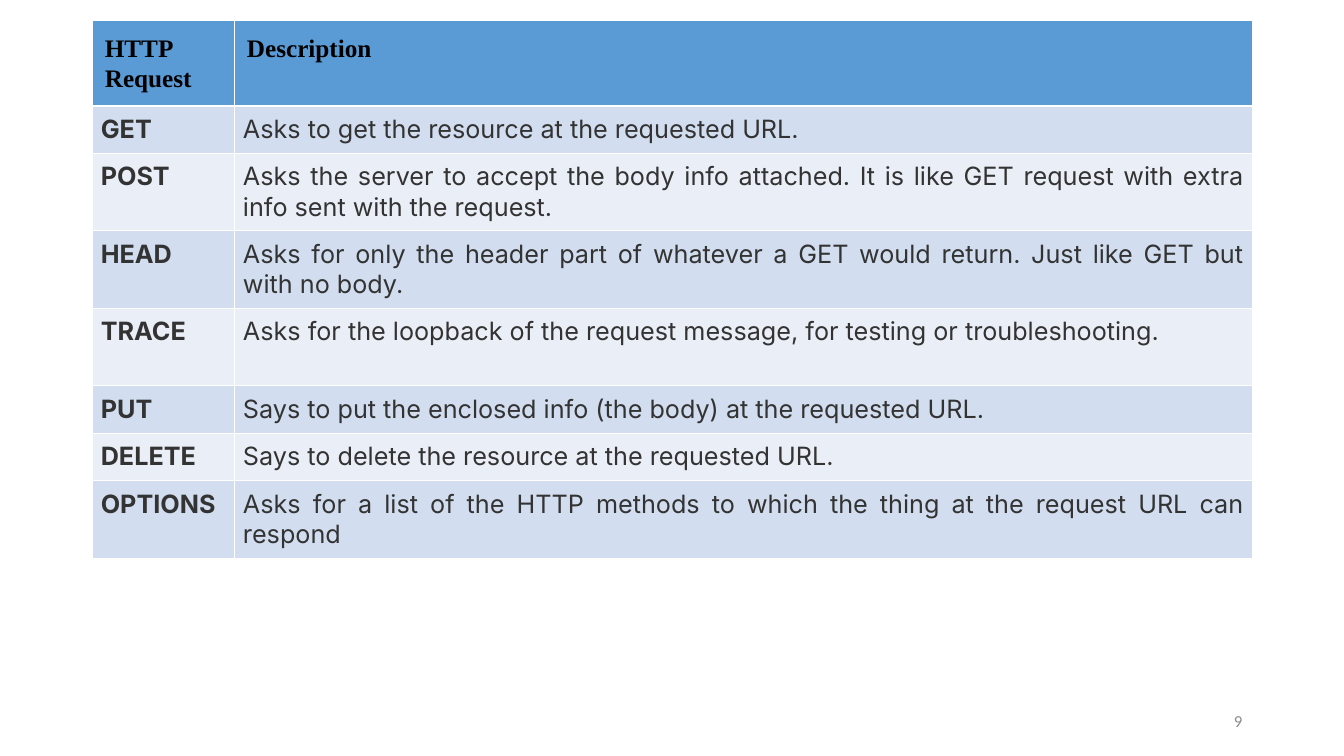
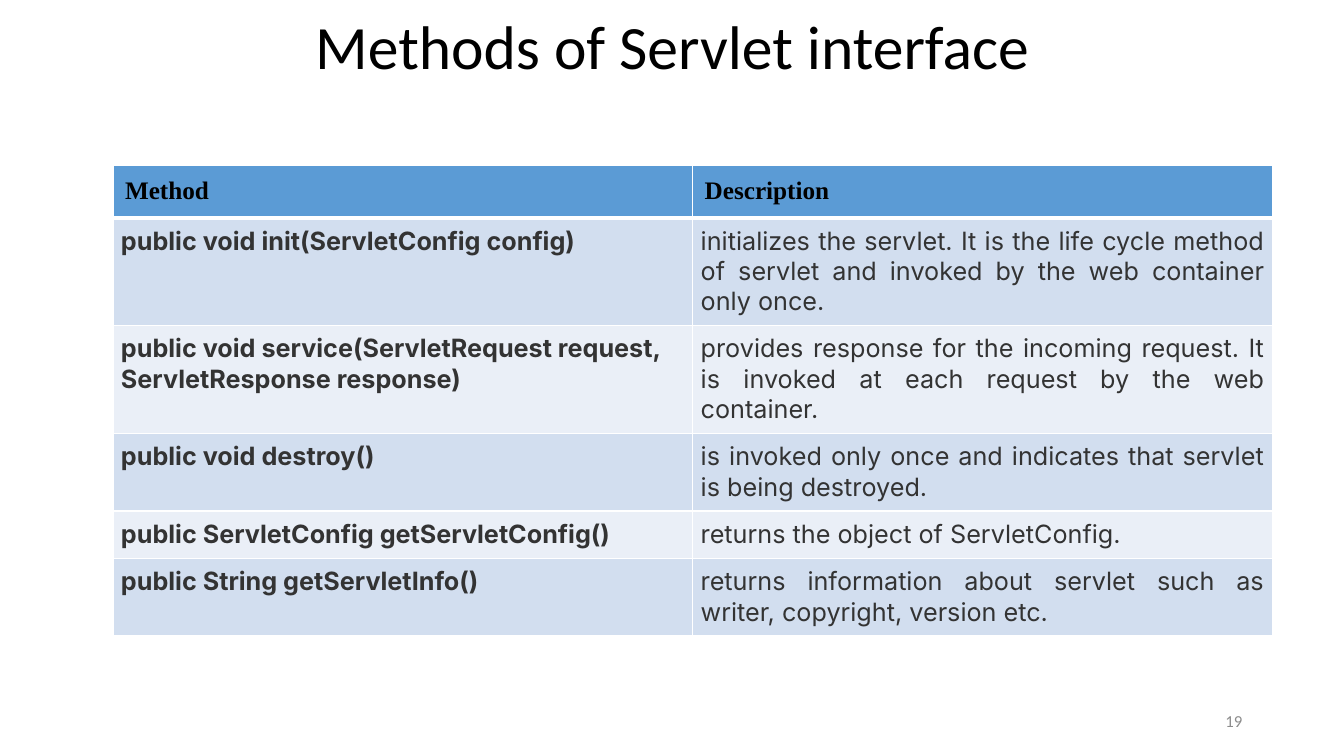
import pptx
import pptx.dml.color
import pptx.enum.text
import pptx.oxml.ns
import pptx.util
from lxml import etree

RGBColor = pptx.dml.color.RGBColor
Align = pptx.enum.text.PP_ALIGN
Anchor = pptx.enum.text.MSO_ANCHOR
Inches = pptx.util.Inches
Pt = pptx.util.Pt

BLACK = RGBColor(0x00, 0x00, 0x00)
WHITE = RGBColor(0xFF, 0xFF, 0xFF)
TEXT = RGBColor(0x33, 0x33, 0x33)
GREY = RGBColor(0x8C, 0x8C, 0x8C)
HEADER = RGBColor(0x5B, 0x9B, 0xD5)
BANDS = (RGBColor(0xD2, 0xDE, 0xEF), RGBColor(0xEA, 0xEF, 0xF7))

WIDTH, HEIGHT = 13.33, 7.5
MARGIN, CONTENT = 0.92, 11.5
BODY_INSET, HEADER_INSET = 0.08, 0.12
LINE, ROW_PADDING = 0.3, 0.17  # height of a text line, space around it in a row


class Deck:
    """Holds the shared style and the current slide."""

    def __init__(self):
        self.deck = pptx.Presentation()
        self.deck.slide_width = Inches(WIDTH)
        self.deck.slide_height = Inches(HEIGHT)
        self.page = None

    def add_page(self, number, title=None):
        layout = self.deck.slide_layouts.get_by_name("Title Only" if title else "Blank")
        self.page = self.deck.slides.add_slide(layout)
        if title:
            self.title(title)
        self.page_number(number)

    def add_text(self, frame, text, font, size, color, align, bold=False, spacing=None):
        para = frame.paragraphs[0]
        para.alignment = align
        if spacing:
            para.line_spacing = spacing
        span = para.add_run()
        span.text = text
        span.font.name = font
        span.font.size = Pt(size)
        span.font.bold = bold
        span.font.color.rgb = color

    def frame(self, box):
        frame = box.text_frame
        frame.word_wrap = True
        frame.auto_size = pptx.enum.text.MSO_AUTO_SIZE.NONE
        frame.vertical_anchor = Anchor.MIDDLE
        return frame

    def title(self, text):
        box = self.page.shapes.title
        box.left, box.top = Inches(MARGIN), Inches(0.07)
        box.width, box.height = Inches(CONTENT), Inches(0.85)
        self.add_text(self.frame(box), text, "Calibri", 44, BLACK, Align.CENTER, spacing=0.9)

    def page_number(self, number):
        width = 3
        box = self.page.shapes.add_textbox(
            Inches(MARGIN + CONTENT - width), Inches(6.95), Inches(width), Inches(0.4))
        self.add_text(self.frame(box), str(number), "Calibri", 12, GREY, Align.RIGHT)

    def borders(self, cell, **widths):
        properties = cell._tc.get_or_add_tcPr()
        for side, points in widths.items():
            line = etree.SubElement(
                properties, pptx.oxml.ns.qn("a:ln" + side), w=str(int(Pt(points))))
            fill = etree.SubElement(line, pptx.oxml.ns.qn("a:solidFill"))
            etree.SubElement(fill, pptx.oxml.ns.qn("a:srgbClr"), val=str(WHITE))

    def cell(self, cell, text, row, column, thin, thick, spacing):
        is_header = row == 0
        self.borders(cell, L=thin, R=thin, T=thick if row == 1 else thin,
                     B=thick if is_header else thin)
        cell.fill.solid()
        cell.fill.fore_color.rgb = HEADER if is_header else BANDS[(row - 1) % 2]
        inset = Inches(HEADER_INSET if is_header else BODY_INSET)
        cell.margin_left = cell.margin_right = inset
        cell.margin_top = cell.margin_bottom = inset
        cell.vertical_anchor = Anchor.TOP
        justified = column == 1 and not is_header
        self.add_text(cell.text_frame, text,
                      "Times New Roman" if is_header else "Inter", 18,
                      BLACK if is_header else TEXT,
                      Align.JUSTIFY if justified else Align.LEFT,
                      bold=not justified, spacing=spacing)

    def table(self, left, top, first_column, header_height, header, rows,
              thin, thick, spacing=None):
        """Each row holds a name, a description and its height in text lines."""
        heights = [header_height] + [ROW_PADDING + LINE * lines for _, _, lines in rows]
        table = self.page.shapes.add_table(
            len(heights), 2, Inches(left), Inches(top),
            Inches(CONTENT), Inches(sum(heights))).table
        for column, width in zip(table.columns, (first_column, CONTENT - first_column)):
            column.width = Inches(width)
        texts = [header] + [row[:2] for row in rows]
        for row, (height, pair) in enumerate(zip(heights, texts)):
            table.rows[row].height = Inches(height)
            for column, text in enumerate(pair):
                self.cell(table.cell(row, column), text, row, column, thin, thick, spacing)


REQUESTS = [
    ("GET", "Asks to get the resource at the requested URL.", 1),
    ("POST", "Asks the server to accept the body info attached. It is like GET request "
             "with extra info sent with the request.", 2),
    ("HEAD", "Asks for only the header part of whatever a GET would return. "
             "Just like GET but with no body.", 2),
    ("TRACE", "Asks for the loopback of the request message, "
              "for testing or troubleshooting.", 2),
    ("PUT", "Says to put the enclosed info (the body) at the requested URL.", 1),
    ("DELETE", "Says to delete the resource at the requested URL.", 1),
    ("OPTIONS", "Asks for a list of the HTTP methods to which the thing at the "
                "request URL can respond", 2),
]

METHODS = [
    ("public void init(ServletConfig config)",
     "initializes the servlet. It is the life cycle method of servlet and invoked "
     "by the web container only once.", 3),
    ("public void service(ServletRequest request, ServletResponse response)",
     "provides response for the incoming request. It is invoked at each request "
     "by the web container.", 3),
    ("public void destroy()",
     "is invoked only once and indicates that servlet is being destroyed.", 2),
    ("public ServletConfig getServletConfig()",
     "returns the object of ServletConfig.", 1),
    ("public String getServletInfo()",
     "returns information about servlet such as writer, copyright, version etc.", 2),
]


def main():
    deck = Deck()

    # HTTP requests
    deck.add_page(9)
    deck.table(MARGIN, 0.2, 1.41, 0.85, ("HTTP Request", "Description"), REQUESTS,
               thin=0.75, thick=1.66, spacing=Pt(21.8))

    # Servlet methods
    deck.add_page(19, "Methods of Servlet interface")
    deck.table(MARGIN + 0.2, 1.64, CONTENT / 2, 0.52, ("Method", "Description"), METHODS,
               thin=1, thick=3)

    deck.deck.save("out.pptx")


if __name__ == "__main__":
    main()
